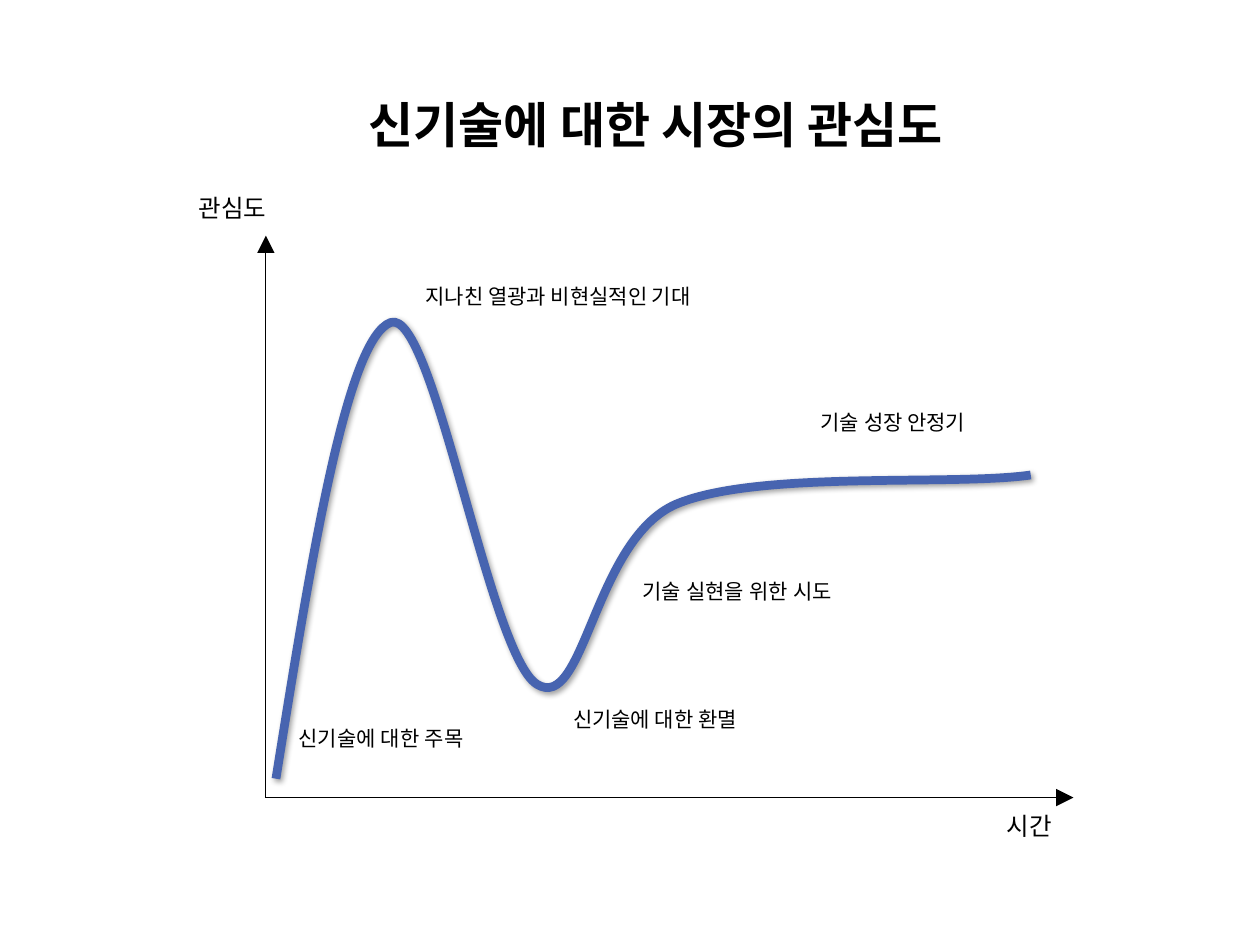
from lxml.etree import SubElement
from pptx import Presentation
from pptx.dml.color import RGBColor
from pptx.enum.shapes import MSO_CONNECTOR
from pptx.enum.text import MSO_AUTO_SIZE
from pptx.oxml.ns import qn
from pptx.util import Inches, Pt

# Content: positions in columns and rows of a 100 x 75 grid
COLUMNS, ROWS = 100, 75
KOREAN, LATIN = "Noto Sans CJK KR", "Lato"

# role, left, top, width, height, spans of (text, font)
LABELS = [
    ("title", 28.3, 7, 61.5, 5.7, [("신기술에 대한 시장의 관심도", KOREAN)]),
    ("axis", 78.9, 63.9, 12.5, 3.4, [("시간", KOREAN)]),
    ("axis", 14.8, 14.8, 18, 3.4, [("관심도", KOREAN)]),
    ("stage", 22.7, 57.1, 21.1, 3, [("신기술에 대한 주목", LATIN)]),
    ("stage", 32.8, 22, 30.5, 3, [("지나친 열광과 비현실적인 기대", KOREAN)]),
    ("stage", 44.5, 55.6, 26.6, 3, [("신", LATIN), ("기술에 대한 환멸", KOREAN)]),
    ("stage", 50, 45.4, 28.1, 3, [("기술 실현을 위한 시도", LATIN)]),
    ("stage", 64.1, 32, 25.8, 3, [("기술 ", LATIN), ("성장 안정기", KOREAN)]),
]
ORIGIN = (21.1, 63.3)
AXIS_ENDS = [(85.2, 63.3), (21.1, 18.7)]
# Start point, then two control points and an end point per Bezier segment
CURVE = [
    (21.9, 61.8),
    (24.7, 44.3), (27.5, 26.9), (31, 25.6),
    (34.4, 24.4), (38.8, 51.9), (42.6, 54.3),
    (46.4, 56.7), (47.1, 42.8), (53.7, 40),
    (60.2, 37.3), (75.6, 38.6), (81.8, 37.7),
]
THEME = {
    "ink": "000000",
    "curve": "4764B0",
    "curve_width": 5,
    "axis_width": 0.5,
    "sizes": {"title": 28, "axis": 14, "stage": 12},
}

deck = Presentation()
deck.slide_width, deck.slide_height = Inches(10), Inches(7.5)
page = deck.slides.add_slide(deck.slide_layouts[6])


def place(column, row):
    return (round(deck.slide_width * column / COLUMNS),
            round(deck.slide_height * row / ROWS))


def add_text(spans, left, top, width, height, size, bold=False):
    box = page.shapes.add_textbox(*place(left, top), *place(width, height))
    frame = box.text_frame
    frame.word_wrap = True
    frame.auto_size = MSO_AUTO_SIZE.SHAPE_TO_FIT_TEXT
    para = frame.paragraphs[0]
    for text, face in spans:
        span = para.add_run()
        span.text = text
        span.font.name = face
        span.font.size = Pt(size)
        span.font.bold = bold
        span.font.color.rgb = RGBColor.from_string(THEME["ink"])
        SubElement(span.font._element, qn("a:ea"), typeface=face)


def style_line(line, color, width):
    line.color.rgb = RGBColor.from_string(color)
    line.width = Pt(width)


def add_axis(end):
    axis = page.shapes.add_connector(
        MSO_CONNECTOR.STRAIGHT, *place(*ORIGIN), *place(*end))
    style_line(axis.line, THEME["ink"], THEME["axis_width"])
    SubElement(axis.line._get_or_add_ln(), qn("a:tailEnd"),
               type="triangle", w="lg", len="lg")
    SubElement(axis._element.spPr, qn("a:effectLst"))


def add_curve(points):
    start, *rest = [place(*point) for point in points]
    builder = page.shapes.build_freeform(*start)
    builder.add_line_segments(rest, close=False)
    curve = builder.convert_to_shape()
    curve.fill.background()
    style_line(curve.line, THEME["curve"], THEME["curve_width"])

    # Join each three straight steps into one Bezier segment
    properties = curve._element.spPr
    steps = list(properties.iter(qn("a:lnTo")))
    for first in range(0, len(steps), 3):
        outline = steps[first].getparent()
        bezier = SubElement(outline, qn("a:cubicBezTo"))
        for step in steps[first:first + 3]:
            bezier.append(step[0])
            outline.remove(step)

    # Soft shadow to the lower right
    effects = SubElement(properties, qn("a:effectLst"))
    shadow = SubElement(effects, qn("a:outerShdw"), blurRad=str(Pt(3)),
                        dist=str(Pt(2)), dir=str(45 * 60000), rotWithShape="0")
    color = SubElement(shadow, qn("a:srgbClr"), val=THEME["ink"])
    SubElement(color, qn("a:alpha"), val="37000")


# Curve and axes
add_curve(CURVE)
for axis_end in AXIS_ENDS:
    add_axis(axis_end)

# Title, axis names and stage names
for role, left, top, width, height, spans in LABELS:
    add_text(spans, left, top, width, height,
             size=THEME["sizes"][role], bold=role == "title")

deck.save("out.pptx")
